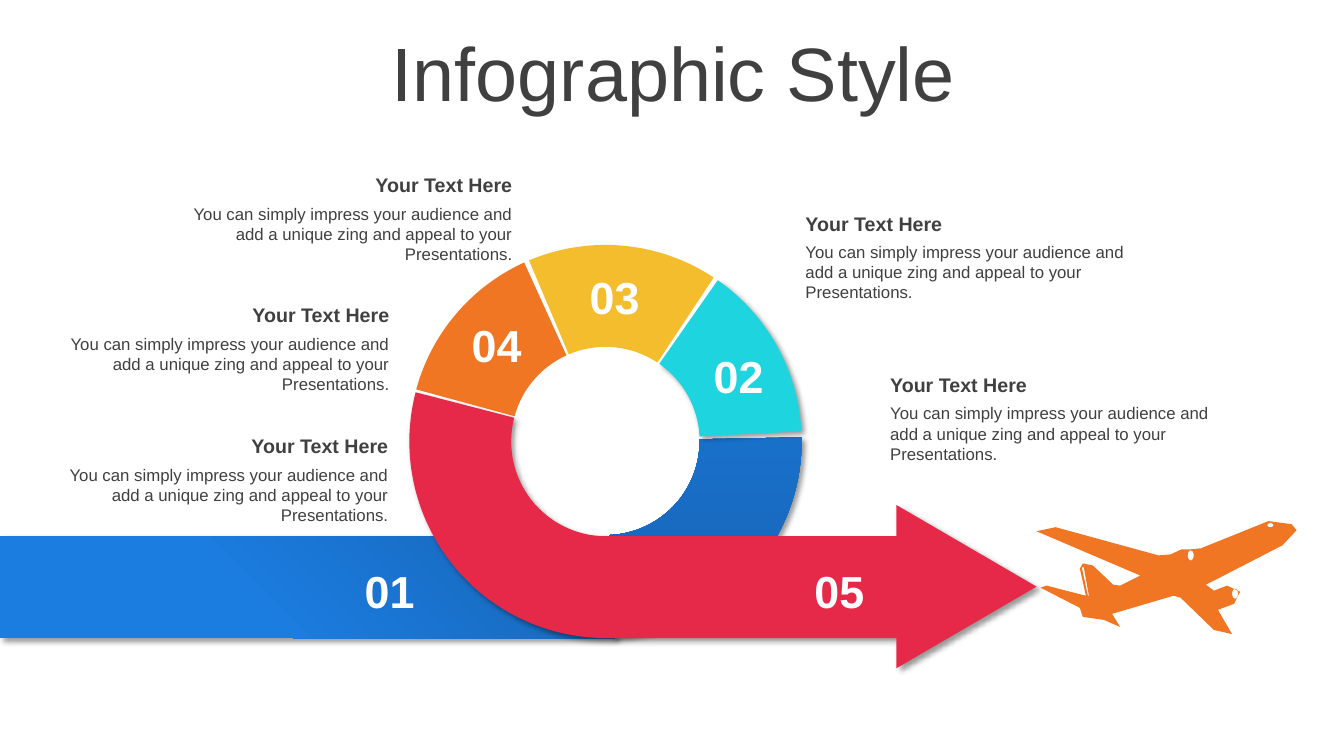
"""Builds the Infographic Style slide: a looping arrow in five steps that leads to a plane."""
import math

import pptx
import pptx.dml.color
import pptx.enum.shapes
import pptx.enum.text
import pptx.oxml
import pptx.oxml.ns
import pptx.util

PX = 9144
RGB = pptx.dml.color.RGBColor
DARK = RGB(0x40, 0x40, 0x40)
WHITE = RGB(0xFF, 0xFF, 0xFF)
BLUE = RGB(0x1C, 0x7D, 0xE1)
DEEP_BLUE = RGB(0x16, 0x64, 0xB4)
RED = RGB(0xE6, 0x29, 0x49)
ORANGE = RGB(0xF0, 0x76, 0x24)
YELLOW = RGB(0xF4, 0xBD, 0x2D)
CYAN = RGB(0x1E, 0xD4, 0xDE)
SHAPE = pptx.enum.shapes.MSO_SHAPE
ALIGN = pptx.enum.text.PP_ALIGN
ANCHOR = pptx.enum.text.MSO_ANCHOR
SHADOW = (
    f'<a:outerShdw {pptx.oxml.ns.nsdecls("a")} blurRad="50800" dist="38100" dir="2700000" '
    'algn="tl" rotWithShape="0"><a:srgbClr val="000000"><a:alpha val="40000"/></a:srgbClr>'
    '</a:outerShdw>'
)

deck = pptx.Presentation()
deck.slide_width, deck.slide_height = 1333 * PX, 750 * PX
slide = deck.slides.add_slide(deck.slide_layouts[6])


def write(text, left, top, width, height, size=12, bold=False, colour=DARK,
          align=ALIGN.CENTER, anchor=ANCHOR.TOP, spacing=1.0):
    box = slide.shapes.add_textbox(left * PX, top * PX, width * PX, height * PX)
    frame = box.text_frame
    frame.word_wrap = True
    frame.vertical_anchor = anchor
    paragraph = frame.paragraphs[0]
    paragraph.alignment = align
    paragraph.line_spacing = spacing
    run = paragraph.add_run()
    run.text = text
    run.font.name = "Arial"
    run.font.size = pptx.util.Pt(size)
    run.font.bold = bold
    run.font.color.rgb = colour


def paint(shape, colour, fade=None, fade_start=0, angle=0, shadow=True):
    if fade is None:
        shape.fill.solid()
        shape.fill.fore_color.rgb = colour
    else:
        shape.fill.gradient()
        shape.fill.gradient_angle = angle
        first, last = shape.fill.gradient_stops
        first.color.rgb, first.position = colour, fade_start
        last.color.rgb, last.position = fade, 1
    shape.line.fill.background()
    shape.shadow.inherit = False
    if shadow:
        effects = shape.element.spPr.find(pptx.oxml.ns.qn("a:effectLst"))
        effects.append(pptx.oxml.parse_xml(SHADOW))


write("Infographic Style", 35, 37, 1266, 79, size=54, anchor=ANCHOR.MIDDLE, spacing=0.9)

strip = slide.shapes.add_shape(SHAPE.RECTANGLE, 0, 532 * PX, 610 * PX, 101 * PX)
paint(strip, BLUE, fade=DEEP_BLUE, fade_start=0.38, angle=45)

ring_parts = [
    (180, 107.35, 160.74, dict(colour=BLUE, fade=DEEP_BLUE, angle=90)),
    (15, 108.15, 138.31, dict(colour=ORANGE, shadow=False)),
    (67, 108.04, 141.9, dict(colour=YELLOW, shadow=False)),
    (126, 107.35, 138.7, dict(colour=CYAN)),
]
for rotation, start, end, look in ring_parts:
    segment = slide.shapes.add_shape(SHAPE.BLOCK_ARC, 406 * PX, 243 * PX, 389 * PX, 389 * PX)
    segment.rotation = rotation
    for index, value in enumerate((start, end, 0.26)):
        segment.adjustments[index] = value
    paint(segment, **look)

sweep = [math.radians(194.5 - 104.5 * step / 60) for step in range(61)]
outer, inner = (
    [(601 + radius * math.cos(turn), 438 + radius * math.sin(turn)) for turn in sweep]
    for radius in (195, 94)
)
arrow_head = [(889, 633), (889, 663), (1028, 582), (889, 501), (889, 532)]
loop_arrow = outer + arrow_head + inner[::-1]

fuselage = [
    (1281, 520), (1258, 517), (1191, 544), (1180, 545), (1172, 545), (1161, 550),
    (1149, 551), (1047, 523), (1028, 527), (1131, 571), (1111, 581), (1104, 580),
    (1084, 561), (1074, 559), (1071, 564), (1077, 591), (1038, 581), (1032, 583),
    (1071, 603), (1074, 612), (1095, 615), (1111, 622), (1103, 609), (1164, 591),
    (1171, 593), (1204, 625), (1222, 629), (1208, 605), (1224, 599), (1230, 587),
    (1217, 581), (1204, 586), (1196, 580), (1206, 575), (1272, 541), (1286, 526),
]
tail_slit = [(1079, 591), (1073, 563), (1075, 563), (1080, 591)]
openings = [
    [(x + across * math.cos(step * math.pi / 8), y + down * math.sin(step * math.pi / 8))
     for step in range(16)]
    for x, y, across, down in ((1181, 551, 3, 5), (1225, 589, 3, 5), (1260, 521, 3, 2))
]
plane = [fuselage, tail_slit, *openings]

for contours, colour, shadow in (([loop_arrow], RED, True), (plane, ORANGE, False)):
    builder = slide.shapes.build_freeform(*(value * PX for value in contours[0][0]))
    for contour in contours:
        points = [(x * PX, y * PX) for x, y in contour]
        if contour is not contours[0]:
            builder.move_to(*points[0])
        builder.add_line_segments(points[1:], close=True)
    paint(builder.convert_to_shape(), colour, shadow=shadow)

captions = [
    (170, 197, 348, ALIGN.RIGHT),
    (54, 326, 342, ALIGN.RIGHT),
    (47, 456, 348, ALIGN.RIGHT),
    (873, 395, 349, ALIGN.LEFT),
    (789, 235, 349, ALIGN.LEFT),
]
for left, top, width, align in captions:
    write("You can simply impress your audience and add a unique zing and appeal to your "
          "Presentations.", left, top, width, 71, align=align)
    write("Your Text Here", left, top - 30, width, 34, size=14, bold=True, align=align)

number_places = [(331, 554), (677, 341), (554, 263), (437, 310), (777, 554)]
for step, (left, top) in enumerate(number_places, start=1):
    write(f"{step:02}", left, top, 111, 64, size=32, bold=True, colour=WHITE)

deck.save("out.pptx")
